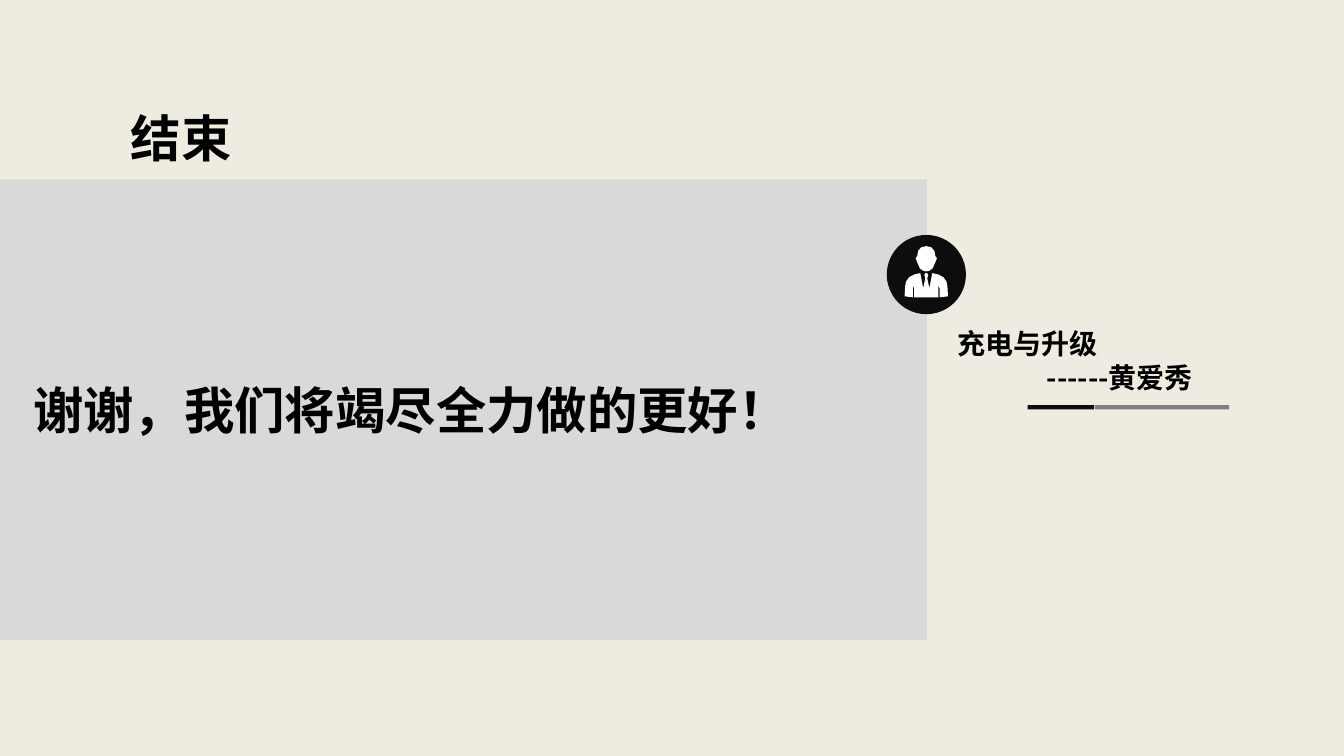
from lxml.etree import SubElement
from pptx import Presentation
from pptx.dml.color import RGBColor
from pptx.enum.shapes import MSO_SHAPE
from pptx.enum.text import PP_ALIGN
from pptx.oxml.ns import qn
from pptx.util import Pt

FONT = "Noto Sans CJK SC"
BLACK, INK, GRAY, PANEL, WHITE = "000000", "0D0D0D", "808080", "D9D9D9", "FFFFFF"
BACKGROUND = "EEECE1"

# Right halves of the person's outlines, as offsets from the top centre.
HEAD = [(0, 0), (3.5, 0.8), (5.8, 3.4), (6.5, 7.2), (7.6, 8.6), (6.5, 11.5),
        (4.5, 16), (2, 17.7), (0, 18)]
SUIT = [(0.7, 0), (1.4, 1.4), (0.7, 3.6), (2.2, 10.8), (4.3, 0), (8.6, 1),
        (12.2, 2.9), (14.4, 6), (15.1, 9.4), (15.5, 16.6), (9.5, 17.3),
        (9.5, 10.8), (8.6, 8.6), (8.6, 17.3), (0, 17.3)]


def color(hex_value):
    return RGBColor.from_string(hex_value)


def paint(shape, fill):
    """Give the shape a plain fill without line or shadow."""
    shape.shadow.inherit = False
    shape.fill.solid()
    shape.fill.fore_color.rgb = color(fill)
    shape.line.fill.background()


def add_block(slide, kind, left, top, width, height, fill):
    shape = slide.shapes.add_shape(kind, Pt(left), Pt(top), Pt(width), Pt(height))
    paint(shape, fill)


def add_text(slide, left, top, width, height, lines, size, margins, align=PP_ALIGN.LEFT):
    """Write lines given as (text, left indent) pairs."""
    box = slide.shapes.add_textbox(Pt(left), Pt(top), Pt(width), Pt(height))
    frame = box.text_frame
    side, edge = margins
    frame_format = {"word_wrap": True, "margin_left": Pt(side), "margin_right": Pt(side),
                    "margin_top": Pt(edge), "margin_bottom": Pt(edge)}
    for name, value in frame_format.items():
        setattr(frame, name, value)
    for index, (text, indent) in enumerate(lines):
        paragraph = frame.paragraphs[0] if index == 0 else frame.add_paragraph()
        paragraph.alignment = align
        paragraph._p.get_or_add_pPr().set("marL", str(Pt(indent)))
        run = paragraph.add_run()
        run.text = text
        for name, value in {"name": FONT, "size": Pt(size), "bold": True}.items():
            setattr(run.font, name, value)
        run.font.color.rgb = color(BLACK)
        SubElement(run._r.get_or_add_rPr(), qn("a:ea"), typeface=FONT)


def add_mirrored(slide, center, top, half, fill):
    """Draw the half outline together with its mirror image."""
    outline = half + [(-x, y) for x, y in reversed(half)]
    points = [(Pt(center + x), Pt(top + y)) for x, y in outline]
    builder = slide.shapes.build_freeform(*points[0], scale=1.0)
    builder.add_line_segments(points[1:], close=True)
    paint(builder.convert_to_shape(), fill)


def add_person_icon(slide, left, top, size):
    add_block(slide, MSO_SHAPE.OVAL, left, top, size, size, INK)
    center = left + size / 2
    add_mirrored(slide, center, top + 27.3, SUIT, WHITE)
    add_mirrored(slide, center, top + 8, HEAD, WHITE)


def add_panel(slide, left, top, width, height):
    add_block(slide, MSO_SHAPE.RECTANGLE, left, top, width, height, PANEL)
    add_text(slide, left, top - 57, 259, 53, [("结束", 0)], 36, (9.4, 5), PP_ALIGN.CENTER)
    add_text(slide, left + 16.6, top + 139, 592, 51,
             [("谢谢，我们将竭尽全力做的更好！", 0)], 36, (7.2, 3.6))


def add_signature(slide, left, top, width, height):
    add_text(slide, left, top, width, height,
             [("充电与升级", 0), ("------黄爱秀", 64)], 20, (5, 2.9))
    bar_top = top + height + 5
    add_block(slide, MSO_SHAPE.RECTANGLE, left + 55.4, bar_top, 47.5, 3, INK)
    add_block(slide, MSO_SHAPE.RECTANGLE, left + 103.7, bar_top, 95.8, 3, GRAY)


def main():
    presentation = Presentation()
    presentation.slide_width, presentation.slide_height = Pt(960.5), Pt(540)
    slide = presentation.slides.add_slide(presentation.slide_layouts[6])
    slide.background.fill.solid()
    slide.background.fill.fore_color.rgb = color(BACKGROUND)
    add_panel(slide, 0, 128.2, 662.4, 329)
    add_person_icon(slide, 633.7, 167.8, 56.6)
    add_signature(slide, 679, 230.4, 207, 54)
    presentation.save("out.pptx")


if __name__ == "__main__":
    main()
